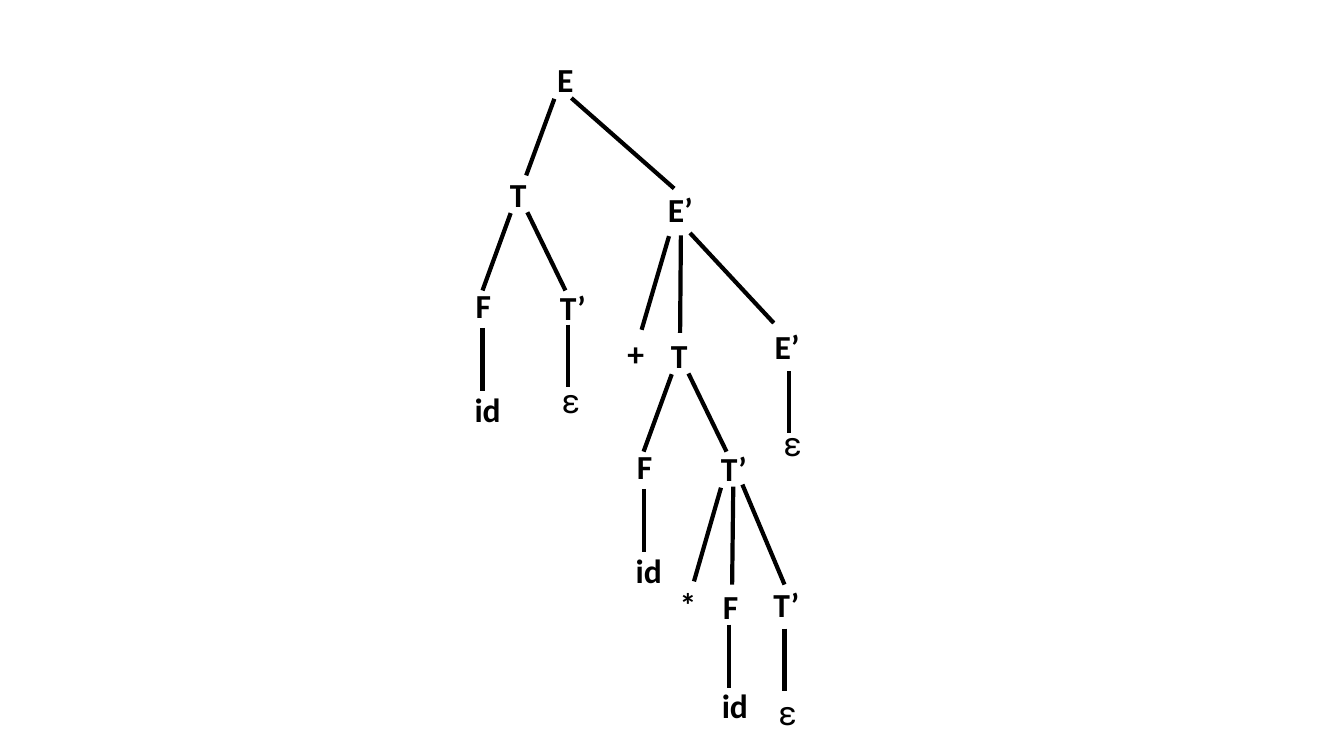
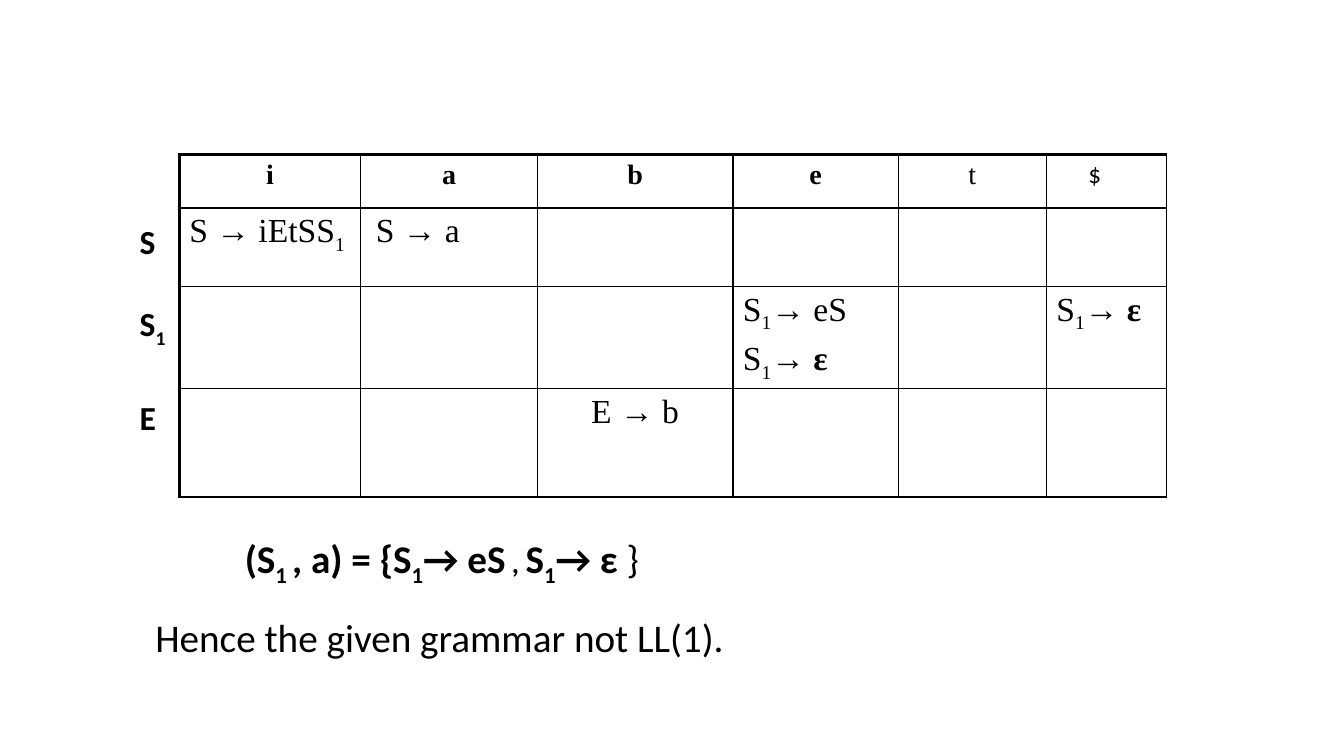
from itertools import accumulate

from lxml import etree
from pptx import Presentation
from pptx.dml.color import RGBColor
from pptx.enum.shapes import MSO_CONNECTOR
from pptx.enum.text import MSO_AUTO_SIZE, PP_ALIGN
from pptx.oxml.ns import qn
from pptx.util import Cm, Pt

STRAIGHT = MSO_CONNECTOR.STRAIGHT
NO_FIT = MSO_AUTO_SIZE.NONE
LEFT, CENTER = PP_ALIGN.LEFT, PP_ALIGN.CENTER

COLORS = {"ink": "000000", "paper": "FFFFFF"}
SANS, SERIF, GREEK = "Calibri", "Times New Roman", "Roboto"
BODY_LAYOUT, BLANK_LAYOUT = 1, 6

SUB_1 = ("1", {"sub": True})
BOLD_EPSILON = ("ε", {"bold": True})


def rgb(name):
    return RGBColor.from_string(COLORS[name])


def write(tf, paragraphs, align=LEFT, before=0, spacing=None, **fmt):
    for i, runs in enumerate(paragraphs):
        p = tf.add_paragraph() if i else tf.paragraphs[0]
        p.alignment = align
        p.space_before = Pt(before if i else 0)
        if spacing:
            p.line_spacing = spacing
        for run in runs:
            text, own = (run, {}) if isinstance(run, str) else run
            style = {"font": SANS, "size": 24, "bold": False, **fmt, **own}
            r = p.add_run()
            r.text = text
            r.font.name = style["font"]
            r.font.size = Pt(style["size"])
            r.font.bold = style["bold"]
            r.font.color.rgb = rgb("ink")
            if style.get("sub"):
                r._r.get_or_add_rPr().set("baseline", "-25000")


def add_text(s, box, runs, **fmt):
    sp = s.shapes.add_textbox(*map(Cm, box))
    sp.text_frame.word_wrap = True
    write(sp.text_frame, [runs], **fmt)


def add_line(s, x1, y1, x2, y2):
    line = s.shapes.add_connector(STRAIGHT, Cm(x1), Cm(y1), Cm(x2), Cm(y2))
    line.line.color.rgb = rgb("ink")
    line.line.width = Pt(3)
    etree.SubElement(line._element.spPr, qn("a:effectLst"))


def new_slide(prs, layout):
    s = prs.slides.add_slide(prs.slide_layouts[layout])
    s.background.fill.solid()
    s.background.fill.fore_color.rgb = rgb("paper")
    return s


def node(label, offset, edge, *children):
    return label, offset, edge, children


def stem(label, offset, x, top, bottom):
    return node(label, offset, (x, top, x, bottom))


def term(offset, edge, *tail_children):
    return node(
        "T", offset, edge,
        node("F", (-0.86, 2.81), (0.27, 1.12, -0.44, 3.07),
             stem("id", (-0.03, 2.62), 0.42, 1.2, 2.79)),
        node("T’", (1.26, 2.86), (0.69, 1.1, 1.65, 3.07), *tail_children))


PRODUCT_TAIL = (
    node("*", (-1.04, 3.43), (0.25, 1.12, -0.43, 3.48)),
    node("F", (0.05, 3.48), (0.56, 1.09, 0.53, 3.56),
         stem("id", (-0.03, 2.49), 0.41, 1.09, 2.69)),
    node("T’", (1.32, 3.43), (0.79, 1.04, 1.85, 3.56),
         stem("ε", (0.13, 2.72), 0.53, 1.24, 2.82)),
)

PARSE_TREE = node(
    "E", (0, 0), None,
    term((-1.19, 2.9), (0.18, 1.14, -0.53, 3.07),
         stem("ε", (0.05, 2.34), 0.46, 1.07, 2.64)),
    node("E’", (2.79, 3.28), (0.61, 1.12, 3.2, 3.4),
         node("+", (-1.02, 3.63), (0.28, 1.32, -0.41, 3.68)),
         term((0.08, 3.68), (0.58, 1.3, 0.56, 3.76), *PRODUCT_TAIL),
         node("E’", (2.69, 3.45), (0.81, 1.24, 2.92, 3.51),
              stem("ε", (0.23, 2.46), 0.61, 1.27, 2.84))))


def draw_tree(s, x, y, tree):
    label, (dx, dy), edge, children = tree
    if edge:
        x1, y1, x2, y2 = edge
        add_line(s, x + x1, y + y1, x + x2, y + y2)
    left, top = x + dx, y + dy
    greek = label == "ε"
    add_text(s, (left, top, 1.3, 1.27), [label],
             font=GREEK if greek else SANS, bold=not greek)
    for child in children:
        draw_tree(s, left, top, child)


COL_WIDTHS = (4.57, 4.45, 4.93, 4.17, 3.73, 3.02)
ROW_HEIGHTS = (1.35, 1.98, 2.55, 2.74)
HEADERS = (("i", True), ("a", True), ("b", True), ("e", True), ("t", False))
ROW_LABELS = ((["S"], 0.2), (["S", SUB_1], 0.3), (["E"], 0.1))
ENTRIES = {
    (1, 0): [["S → iEtSS", SUB_1]],
    (1, 1): [["S → a"]],
    (2, 3): [["S", SUB_1, "→ eS"], ["S", SUB_1, "→ ", BOLD_EPSILON]],
    (2, 5): [["S", SUB_1, "→ ", BOLD_EPSILON]],
    (3, 2): [["E → b"]],
}


def set_borders(cell, **widths):
    tc_pr = cell._tc.get_or_add_tcPr()
    for i, (side, width) in enumerate(widths.items()):
        ln = etree.Element(qn(f"a:{side}"), w=str(Pt(width)))
        fill = etree.SubElement(ln, qn("a:solidFill"))
        etree.SubElement(fill, qn("a:srgbClr"), val=COLORS["ink"])
        tc_pr.insert(i, ln)


def parsing_table(s, left, top):
    frame = s.shapes.add_table(
        len(ROW_HEIGHTS), len(COL_WIDTHS), Cm(left), Cm(top),
        Cm(sum(COL_WIDTHS)), Cm(sum(ROW_HEIGHTS)))
    table = frame.table
    table.first_row = table.horz_banding = False
    for col, width in zip(table.columns, COL_WIDTHS):
        col.width = Cm(width)
    for row, height in zip(table.rows, ROW_HEIGHTS):
        row.height = Cm(height)
    for i in range(len(ROW_HEIGHTS)):
        for j in range(len(COL_WIDTHS)):
            cell = table.cell(i, j)
            cell.fill.background()
            set_borders(cell, lnL=1 if j else 2.25, lnR=1,
                        lnT=1 if i else 2.25, lnB=1)
    for j, (symbol, bold) in enumerate(HEADERS):
        write(table.cell(0, j).text_frame, [[symbol]], align=CENTER,
              font=SERIF, size=20, bold=bold)
    end_marker = table.cell(0, len(HEADERS))
    end_marker.margin_left = Cm(1.06)
    write(end_marker.text_frame, [["$"]], size=18)
    for (i, j), paragraphs in ENTRIES.items():
        write(table.cell(i, j).text_frame, paragraphs, font=SERIF, before=4.8,
              align=CENTER if i == 3 else LEFT)
    table.cell(1, 1).margin_left = Cm(0.38)
    for (runs, drop), offset in zip(ROW_LABELS, accumulate(ROW_HEIGHTS)):
        add_text(s, (left - 1.25, top + offset + drop, 1.3, 1.27), runs,
                 bold=True)


def conclusion(s, left, top):
    add_text(s, (left + 2.26, top, 12.65, 1.45),
             ["(S", ("1 ", {"sub": True}), ", a) = {S", SUB_1, "→ eS",
              (" , ", {"size": 20}), "S", SUB_1, "→ ε ", ("}", {"bold": False})],
             size=28, bold=True)
    body = s.placeholders[1]
    body.left, body.top = Cm(left), Cm(top + 2.12)
    body.width, body.height = Cm(26), Cm(1.5)
    tf = body.text_frame
    tf.auto_size = NO_FIT
    write(tf, [["Hence the given grammar not LL(1)."]], size=28, spacing=0.9)
    p_pr = tf.paragraphs[0]._p.get_or_add_pPr()
    p_pr.set("marL", "0")
    p_pr.set("indent", "0")
    etree.SubElement(p_pr, qn("a:buNone"))


def tree_slide(prs):
    s = new_slide(prs, BLANK_LAYOUT)
    draw_tree(s, 13.79, 1.35, PARSE_TREE)


def table_slide(prs):
    s = new_slide(prs, BODY_LAYOUT)
    title = s.shapes.title._element
    title.getparent().remove(title)
    parsing_table(s, 4.52, 3.89)
    conclusion(s, 3.66, 13.34)


def main():
    prs = Presentation()
    prs.slide_width, prs.slide_height = Cm(33.87), Cm(19.05)
    tree_slide(prs)
    table_slide(prs)
    prs.save("out.pptx")


if __name__ == "__main__":
    main()
